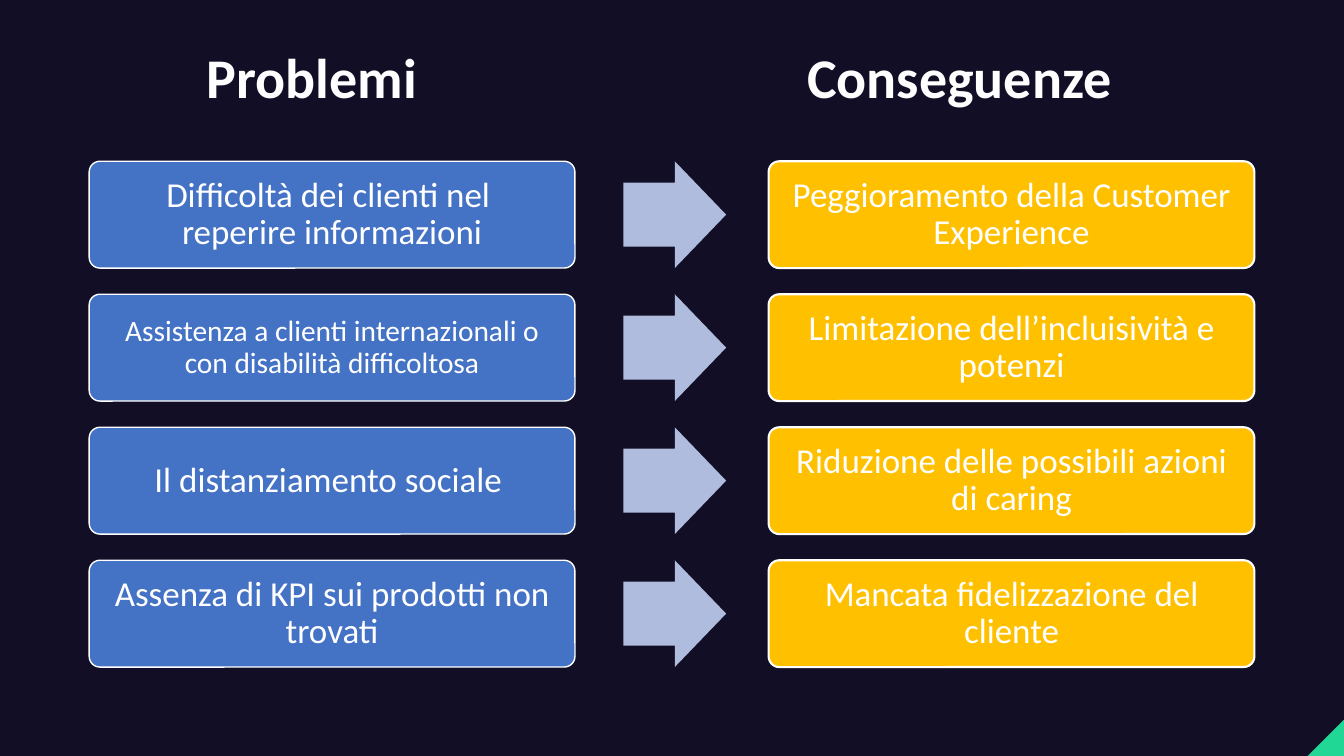
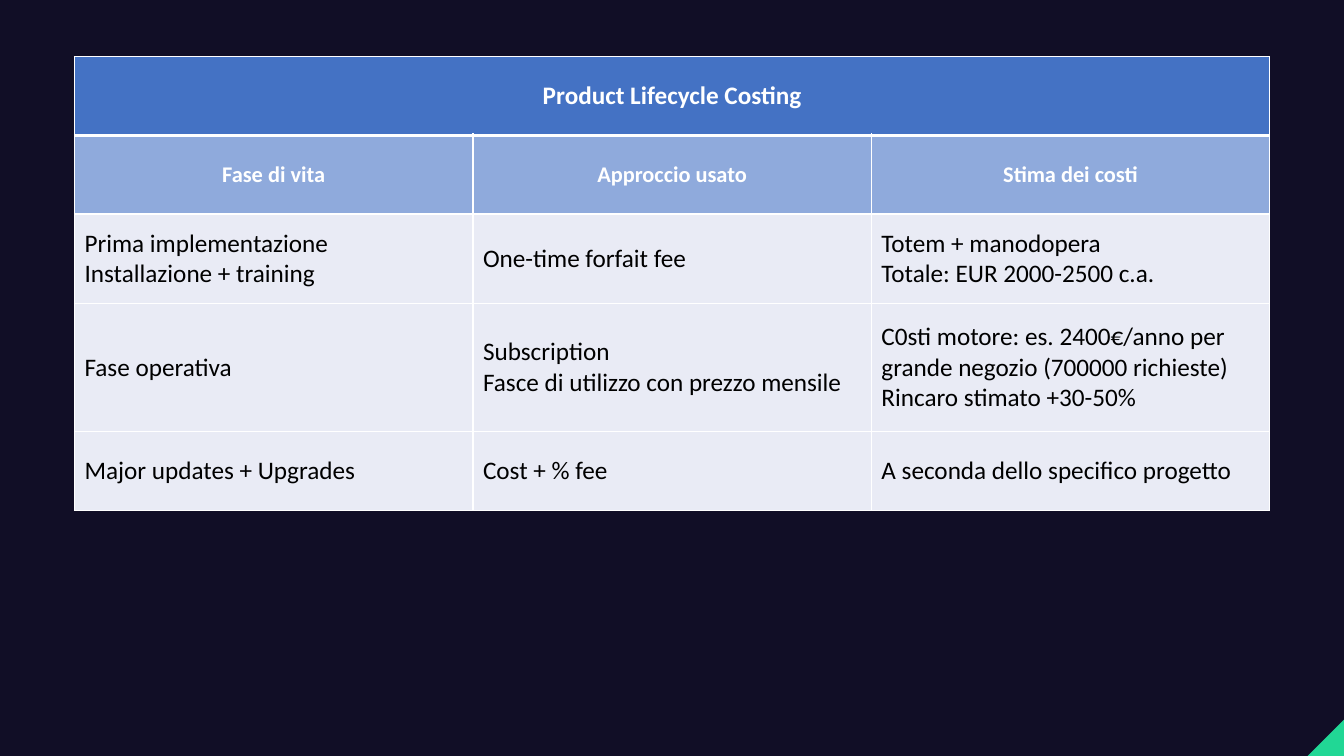
from lxml import etree
from pptx import Presentation
from pptx.dml.color import RGBColor
from pptx.enum import shapes, text
from pptx.oxml import ns
from pptx.util import Pt

FONT = "Calibri"
COLORS = {
    "night": "110E26", "green": "21D795", "white": "FFFFFF", "heading": "FEFEFE",
    "blue": "4472C4", "light_blue": "8FAADC", "arrow": "B0BCDE",
    "amber": "FFC000", "pale": "E9EBF5", "black": "000000",
}
WIDTH, HEIGHT = 960, 540
TITLE_ONLY, BLANK = 5, 6

HEADINGS = [("Problemi", (140.4, 26.6, 190, 76.3)),
            ("Conseguenze", (569.5, 26.6, 286.6, 76.3))]
# problem, its text size, consequence
PAIRS = [
    ("Difficoltà dei clienti nel \vreperire informazioni", 25,
     "Peggioramento della Customer Experience"),
    ("Assistenza a clienti internazionali o con disabilità difficoltosa", 21,
     "Limitazione dell’incluisività e potenzi"),
    ("Il distanziamento sociale ", 25,
     "Riduzione delle possibili azioni di caring"),
    ("Assenza di KPI sui prodotti non trovati", 25,
     "Mancata fidelizzazione del cliente"),
]
COSTS = [
    ("Product Lifecycle Costing", "", ""),
    ("Fase di vita", "Approccio usato", "Stima dei costi"),
    ("Prima implementazione\nInstallazione + training", "One-time forfait fee",
     "Totem + manodopera\nTotale: EUR 2000-2500 c.a."),
    ("Fase operativa", "Subscription\nFasce di utilizzo con prezzo mensile",
     "C0sti motore: es. 2400€/anno per grande negozio (700000 richieste)\n"
     "Rincaro stimato +30-50%"),
    ("Major updates + Upgrades", "Cost + % fee",
     "A seconda dello specifico progetto"),
]
ROW_HEIGHTS = [56.2, 56.2, 64, 91.4, 56.2]


def rgb(name):
    return RGBColor.from_string(COLORS[name])


def points(*lengths):
    return [Pt(length) for length in lengths]


def style_text(frame, size, color, bold=False, align=text.PP_ALIGN.LEFT, spacing=1.0):
    for paragraph in frame.paragraphs:
        paragraph.alignment = align
        paragraph.line_spacing = spacing
        for run in paragraph.runs:
            run.font.name = FONT
            run.font.size = Pt(size)
            run.font.bold = bold
            run.font.color.rgb = rgb(color)


def add_block(slide, kind, box, fill, outline=0):
    """Add a flat preset shape; an outline of 0 means no line."""
    block = slide.shapes.add_shape(kind, *points(*box))
    block.shadow.inherit = False
    block.fill.solid()
    block.fill.fore_color.rgb = rgb(fill)
    if outline:
        block.line.color.rgb = rgb("white")
        block.line.width = Pt(outline)
    else:
        block.line.fill.background()
    return block


def dress_master(deck, slide):
    """Give every slide the dark background and the green corner."""
    master = deck.slide_master
    master.background.fill.solid()
    master.background.fill.fore_color.rgb = rgb("night")
    side = 26
    corner = add_block(slide, shapes.MSO_SHAPE.RIGHT_TRIANGLE,
                       (WIDTH - side, HEIGHT - side, side, side), "green").element
    corner.find(".//" + ns.qn("a:xfrm")).set("flipH", "1")
    corner.find(".//" + ns.qn("p:cNvPr")).set("id", "99")
    master.shapes.element.append(corner)


def format_heading(heading, caption, box):
    heading.left, heading.top, heading.width, heading.height = points(*box)
    frame = heading.text_frame
    frame.text = caption
    frame.word_wrap = True
    frame.auto_size = text.MSO_AUTO_SIZE.NONE
    frame.vertical_anchor = text.MSO_ANCHOR.TOP
    style_text(frame, 40, "heading", bold=True)


def add_card(slide, box, caption, size, fill, outline):
    card = add_block(slide, shapes.MSO_SHAPE.ROUNDED_RECTANGLE, box, fill, outline)
    card.adjustments[0] = 0.1
    frame = card.text_frame
    frame.text = caption
    frame.word_wrap = True
    frame.vertical_anchor = text.MSO_ANCHOR.MIDDLE
    style_text(frame, size, "white", align=text.PP_ALIGN.CENTER, spacing=0.9)


def add_pair(slide, box, problem, size, consequence):
    """Fill the box with a problem card, an arrow and a consequence card."""
    left, top, width, height = box
    card_width, arrow_width = 347, 73.4
    add_card(slide, (left, top, card_width, height), problem, size, "blue", 1)
    arrow = add_block(slide, shapes.MSO_SHAPE.RIGHT_ARROW,
                      (left + 381.6, top, arrow_width, height), "arrow")
    arrow.adjustments[0] = 0.6
    arrow.adjustments[1] = 0.5
    add_card(slide, (left + width - card_width, top, card_width, height),
             consequence, 25, "amber", 1.5)


def build_problems(slide):
    (first, first_box), (second, second_box) = HEADINGS
    format_heading(slide.shapes.title, first, first_box)
    format_heading(slide.shapes.add_textbox(*points(*second_box)), second, second_box)
    for row, pair in enumerate(PAIRS):
        add_pair(slide, (63.7, 115.2 + 95 * row, 832.3, 76.3), *pair)


def set_borders(cell, **widths):
    properties = cell._tc.get_or_add_tcPr()
    for side in ("L", "R", "T", "B"):
        line = etree.SubElement(properties, ns.qn("a:ln" + side),
                                w=str(Pt(widths.get(side, 1))))
        fill = etree.SubElement(line, ns.qn("a:solidFill"))
        etree.SubElement(fill, ns.qn("a:srgbClr"), val=COLORS["white"])


def build_costs(slide, box):
    table = slide.shapes.add_table(len(COSTS), 3, *points(*box)).table
    table.horz_banding = False
    for column in table.columns:
        column.width = Pt(box[2] / 3)
    centred = {"align": text.PP_ALIGN.CENTER, "bold": True}
    row_styles = [
        ("blue", {"size": 18, "color": "white", **centred}, {"B": 3}),
        ("light_blue", {"size": 16, "color": "white", **centred}, {"T": 3}),
    ] + [("pale", {"size": 18, "color": "black"}, {})] * 3
    for row, (captions, height, (fill, style, borders)) in enumerate(
            zip(COSTS, ROW_HEIGHTS, row_styles)):
        table.rows[row].height = Pt(height)
        for column, caption in enumerate(captions):
            cell = table.cell(row, column)
            cell.text = caption
            cell.vertical_anchor = text.MSO_ANCHOR.MIDDLE
            set_borders(cell, **borders)
            cell.fill.solid()
            cell.fill.fore_color.rgb = rgb(fill)
            style_text(cell.text_frame, **style)
    table.cell(0, 0).merge(table.cell(0, 2))


def main():
    deck = Presentation()
    deck.slide_width, deck.slide_height = points(WIDTH, HEIGHT)
    problems = deck.slides.add_slide(deck.slide_layouts[TITLE_ONLY])
    dress_master(deck, problems)
    build_problems(problems)
    costs = deck.slides.add_slide(deck.slide_layouts[BLANK])
    build_costs(costs, (53.2, 40.5, 853.8, sum(ROW_HEIGHTS)))
    deck.save("out.pptx")


if __name__ == "__main__":
    main()
